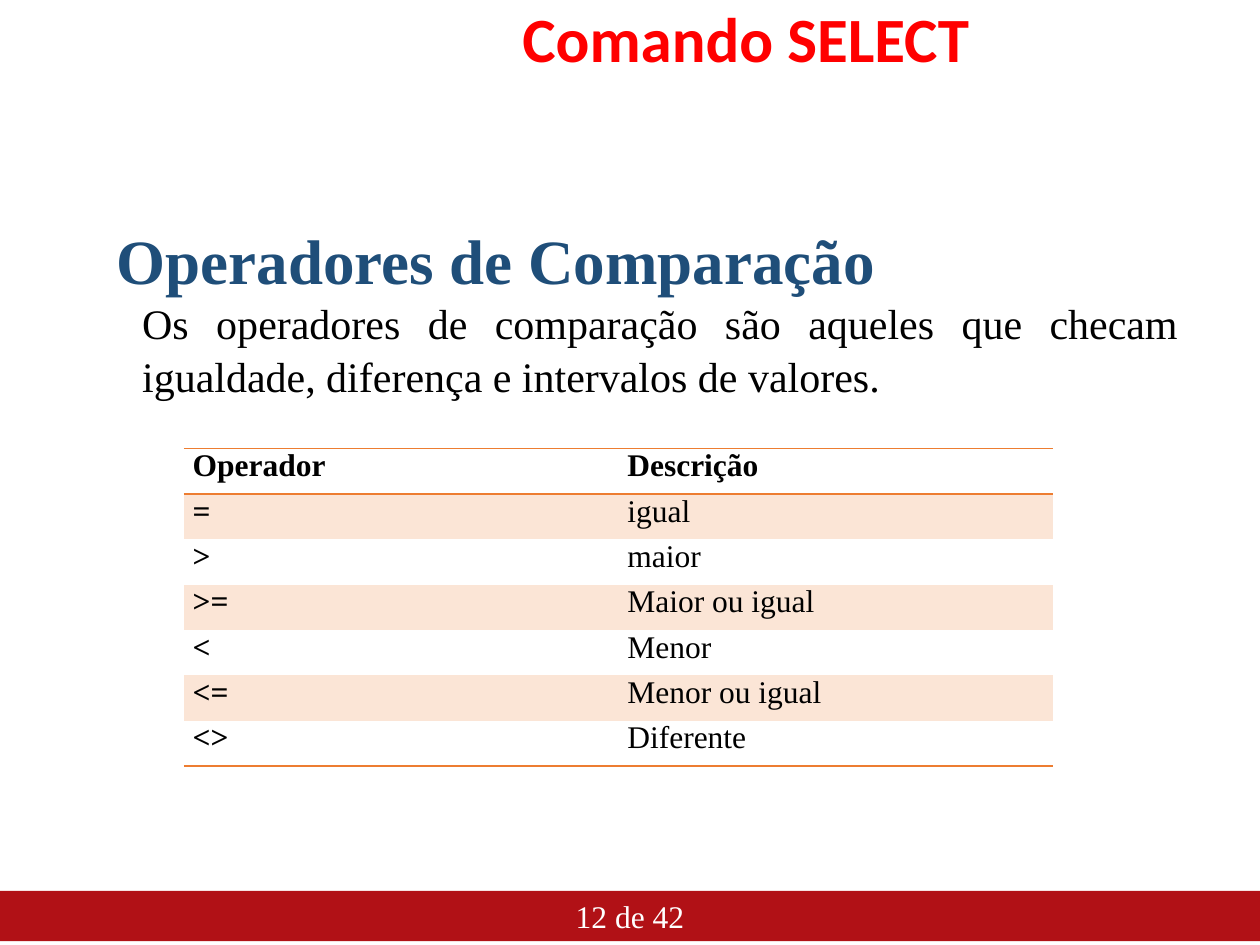
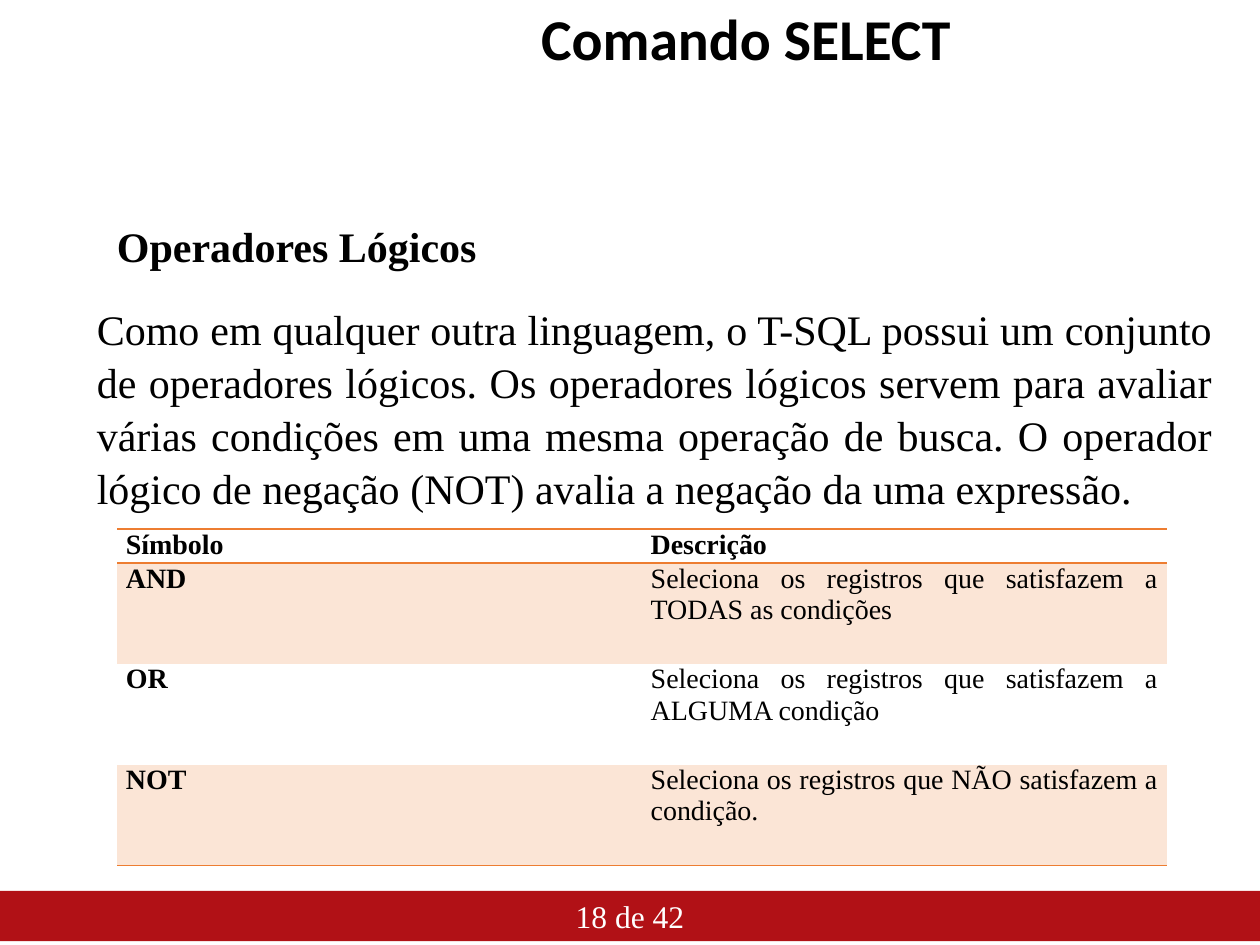
"""Build two slides on the comparison and logical operators of the SELECT command."""
from lxml import etree
from pptx import Presentation
from pptx.dml.color import RGBColor
from pptx.enum.shapes import MSO_SHAPE
from pptx.enum.text import MSO_ANCHOR, PP_ALIGN
from pptx.oxml.ns import qn
from pptx.util import Inches, Pt

RECTANGLE = MSO_SHAPE.RECTANGLE
MIDDLE = MSO_ANCHOR.MIDDLE
LEFT, CENTER, JUSTIFY = PP_ALIGN.LEFT, PP_ALIGN.CENTER, PP_ALIGN.JUSTIFY

BLACK = RGBColor(0x00, 0x00, 0x00)
WHITE = RGBColor(0xFF, 0xFF, 0xFF)
RED = RGBColor(0xFF, 0x00, 0x00)
NAVY = RGBColor(0x1F, 0x4E, 0x79)
CRIMSON = RGBColor(0xB1, 0x11, 0x16)
ORANGE = RGBColor(0xED, 0x7D, 0x31)
PEACH = RGBColor(0xFB, 0xE5, 0xD6)

SERIF = "Times New Roman"
PLAIN_TABLE_STYLE = "{2D5ABB26-0587-4C30-8999-92F81FD0307C}"
TOTAL_PAGES = 42

SLIDES = [
    {
        "page": 12,
        "title_size": 36,
        "title_color": RED,
        "heading": "Operadores de Comparação",
        "heading_box": (0.83, 1.68, 6.28, 0.71),
        "heading_size": 36,
        "heading_color": NAVY,
        "body": "Os operadores de comparação são aqueles que checam igualdade, "
                "diferença e intervalos de valores.",
        "body_box": (0.71, 2.29, 8.74, 0.91),
        "table_box": (1.46, 3.56, 6.9, 2.52),
        "table_size": 18,
        "header_height": 0.36,
        "row_height": 0.36,
        "rows": [
            ("Operador", "Descrição"),
            ("=", "igual"),
            (">", "maior"),
            (">=", "Maior ou igual"),
            ("<", "Menor"),
            ("<=", "Menor ou igual"),
            ("<>", "Diferente"),
        ],
    },
    {
        "page": 18,
        "title_size": 33,
        "title_color": BLACK,
        "heading": "Operadores Lógicos",
        "heading_box": (0.83, 1.68, 3.08, 0.5),
        "heading_size": 24,
        "heading_color": BLACK,
        "body": "Como em qualquer outra linguagem, o T-SQL possui um conjunto de "
                "operadores lógicos. Os operadores lógicos servem para avaliar várias "
                "condições em uma mesma operação de busca. O operador lógico de "
                "negação (NOT) avalia a negação da uma expressão.",
        "body_box": (0.35, 2.34, 9.37, 1.72),
        "table_box": (0.93, 4.2, 8.33, 2.67),
        "table_size": 16,
        "header_height": 0.27,
        "row_height": 0.8,
        "rows": [
            ("Símbolo", "Descrição"),
            ("AND", "Seleciona os registros que satisfazem a TODAS as condições"),
            ("OR", "Seleciona os registros que satisfazem a ALGUMA condição"),
            ("NOT", "Seleciona os registros que NÃO satisfazem a condição."),
        ],
    },
]


def write_text(text_frame, text, size, color, bold=False, font=SERIF, align=LEFT, spacing=1.0):
    paragraph = text_frame.paragraphs[0]
    paragraph.alignment = align
    paragraph.line_spacing = spacing
    run = paragraph.add_run()
    run.text = text
    run.font.color.rgb = color
    for name, value in {"name": font, "size": Pt(size), "bold": bold}.items():
        setattr(run.font, name, value)
    return paragraph


def add_border(cell, side):
    line = etree.SubElement(cell._tc.get_or_add_tcPr(), qn(f"a:{side}"), w=str(Pt(1)))
    fill = etree.SubElement(line, qn("a:solidFill"))
    etree.SubElement(fill, qn("a:srgbClr"), val=str(ORANGE))


presentation = Presentation()
presentation.slide_width = Inches(10)
presentation.slide_height = Inches(7.5)
title_only = presentation.slide_layouts[5]

for content in SLIDES:
    slide = presentation.slides.add_slide(title_only)

    footer = slide.shapes.add_shape(RECTANGLE, 0, Inches(7.07), Inches(10), Inches(0.4))
    footer.shadow.inherit = False
    footer.fill.solid()
    footer.fill.fore_color.rgb = CRIMSON
    footer.line.fill.background()
    write_text(footer.text_frame, f"{content['page']} de {TOTAL_PAGES}", 18, WHITE, align=CENTER)

    title = slide.shapes.title
    placement = {"left": 1.85, "top": 0, "width": 8.14, "height": 0.67}
    for name, value in placement.items():
        setattr(title, name, Inches(value))
    title.text_frame.vertical_anchor = MIDDLE
    write_text(title.text_frame, "Comando SELECT", content["title_size"], content["title_color"],
               bold=True, font="Calibri", align=CENTER, spacing=0.9)

    heading = slide.shapes.add_textbox(*map(Inches, content["heading_box"]))
    heading.text_frame.word_wrap = False
    write_text(heading.text_frame, content["heading"], content["heading_size"],
               content["heading_color"], bold=True, spacing=1.05)

    body = slide.shapes.add_textbox(*map(Inches, content["body_box"]))
    body.text_frame.word_wrap = True
    paragraph = write_text(body.text_frame, content["body"], 24, BLACK,
                           align=JUSTIFY, spacing=1.05)
    paragraph._p.get_or_add_pPr().set("marL", str(Inches(0.32)))

    rows = content["rows"]
    frame = slide.shapes.add_table(len(rows), 2, *map(Inches, content["table_box"]))
    table = frame.table
    table.first_row = False
    table.horz_banding = False
    table._tbl.tblPr.find(qn("a:tableStyleId")).text = PLAIN_TABLE_STYLE

    for row_index, texts in enumerate(rows):
        is_header = row_index == 0
        height = content["header_height"] if is_header else content["row_height"]
        table.rows[row_index].height = Inches(height)
        for column_index, text in enumerate(texts):
            cell = table.cell(row_index, column_index)
            margins = {"margin_left": 0.07, "margin_right": 0.07,
                       "margin_top": 0, "margin_bottom": 0}
            for name, value in margins.items():
                setattr(cell, name, Inches(value))
            if is_header:
                add_border(cell, "lnT")
            if is_header or row_index == len(rows) - 1:
                add_border(cell, "lnB")
            if row_index % 2:
                cell.fill.solid()
                cell.fill.fore_color.rgb = PEACH
            else:
                cell.fill.background()
            write_text(cell.text_frame, text, content["table_size"], BLACK,
                       bold=is_header or column_index == 0, align=JUSTIFY)

presentation.save("out.pptx")
